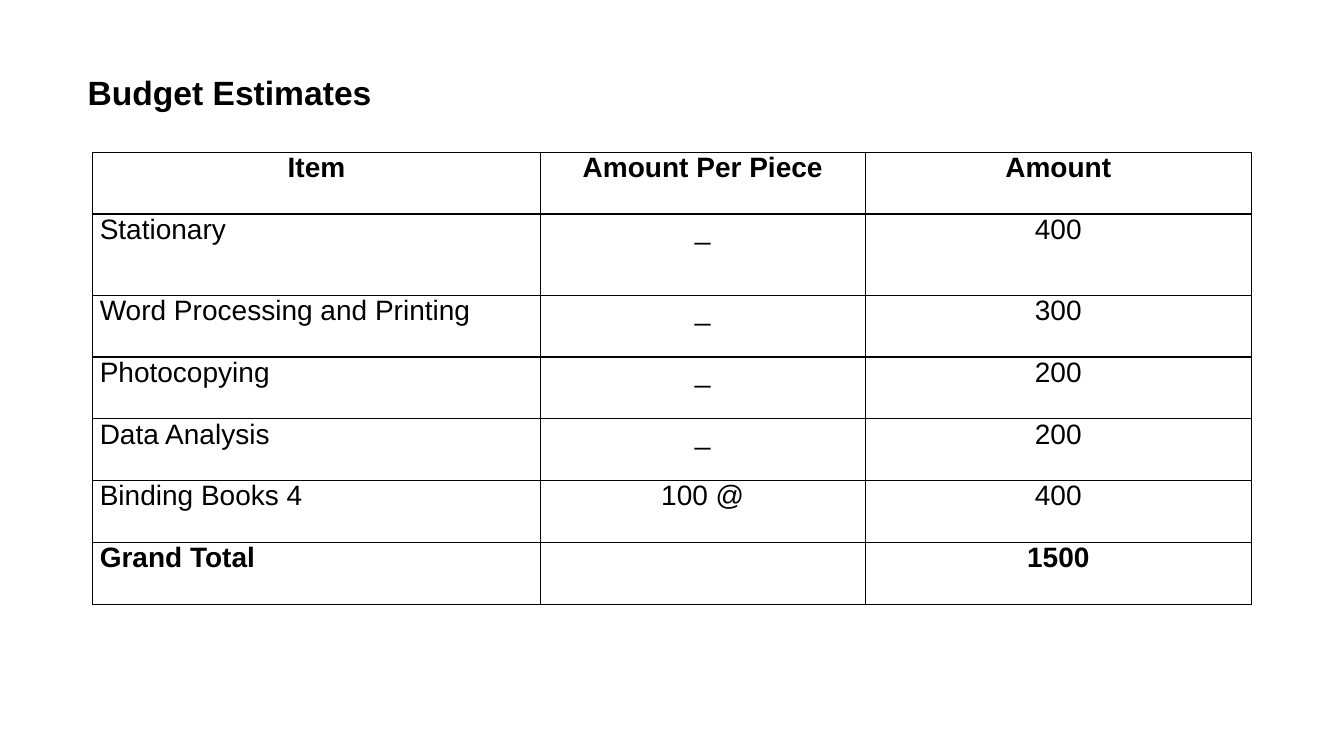
from pptx import Presentation
from pptx.dml.color import RGBColor as RGB
from pptx.enum.text import MSO_ANCHOR as Anchor, MSO_AUTO_SIZE as AutoSize, PP_ALIGN as Align
from pptx.oxml import parse_xml
from pptx.oxml.ns import nsdecls
from pptx.util import Inches, Pt

COLORS = {"text": "000000", "border": "080000"}
HEADER = ("Item", "Amount Per Piece", "Amount")
ITEMS = (
    ("Stationary", "_", "400"),
    ("Word Processing and Printing", "_", "300"),
    ("Photocopying", "_", "200"),
    ("Data Analysis", "_", "200"),
    ("Binding Books 4", "100 @", "400"),
)
TOTAL = ("Grand Total", "", "1500")
COL_WIDTHS = (33.31, 24.16, 28.75)
ROW, TALL_ROW = 8.18, 10.73


def write(tf, text, size=20, bold=False, color="text", font="Arial", align=Align.LEFT):
    """Write one formatted paragraph into a text frame."""
    p = tf.paragraphs[0]
    p.alignment = align
    if text:
        p.add_run().text = text
    p.font.size, p.font.bold, p.font.name = Pt(size), bold, font
    for r in p.runs:
        r.font.size, r.font.bold, r.font.name = Pt(size), bold, font
        r.font.color.rgb = RGB.from_string(COLORS[color])


class Deck:
    """Hold the style and current slide, measured on a 100 by 100 grid."""

    def __init__(self, width=13.33, height=7.5):
        self.prs = Presentation()
        self.prs.slide_width, self.prs.slide_height = Inches(width), Inches(height)
        self.slide = self.prs.slides.add_slide(self.prs.slide_layouts[6])

    def x(self, cols):
        return round(self.prs.slide_width * cols / 100)

    def y(self, rows):
        return round(self.prs.slide_height * rows / 100)

    def text(self, left, top, width, height, text, **fmt):
        sp = self.slide.shapes.add_textbox(self.x(left), self.y(top), self.x(width), self.y(height))
        tf = sp.text_frame
        tf.word_wrap = True
        tf.auto_size = AutoSize.SHAPE_TO_FIT_TEXT
        write(tf, text, **fmt)

    def border(self, cell, width=1):
        tcPr = cell._tc.get_or_add_tcPr()
        for i, side in enumerate(("lnL", "lnR", "lnT", "lnB")):
            tcPr.insert(i, parse_xml(
                f'<a:{side} {nsdecls("a")} w="{Pt(width)}"><a:solidFill>'
                f'<a:srgbClr val="{COLORS["border"]}"/></a:solidFill></a:{side}>'))

    def table(self, left, top, widths, heights, rows, bold_rows):
        frame = self.slide.shapes.add_table(
            len(rows), len(widths), self.x(left), self.y(top),
            self.x(sum(widths)), self.y(sum(heights)))
        tbl = frame.table
        tbl.first_row = tbl.horz_banding = False
        for col, width in zip(tbl.columns, widths):
            col.width = self.x(width)
        for i, (row, height, values) in enumerate(zip(tbl.rows, heights, rows)):
            row.height = self.y(height)
            for j, (cell, value) in enumerate(zip(row.cells, values)):
                cell.fill.background()
                cell.margin_left = cell.margin_right = Inches(0.07)
                cell.margin_top = cell.margin_bottom = 0
                cell.vertical_anchor = Anchor.TOP
                centred = i == 0 or j > 0
                write(cell.text_frame, value, bold=i in bold_rows,
                      align=Align.CENTER if centred else Align.LEFT)
                self.border(cell)


deck = Deck()
deck.text(5.78, 8.8, 41.7, 6.67, "Budget Estimates", size=24, bold=True)
rows = (HEADER, *ITEMS, TOTAL)
heights = [TALL_ROW if i == 1 else ROW for i in range(len(rows))]
deck.table(6.9, 20.13, COL_WIDTHS, heights, rows, bold_rows=(0, len(rows) - 1))
deck.prs.save("out.pptx")
